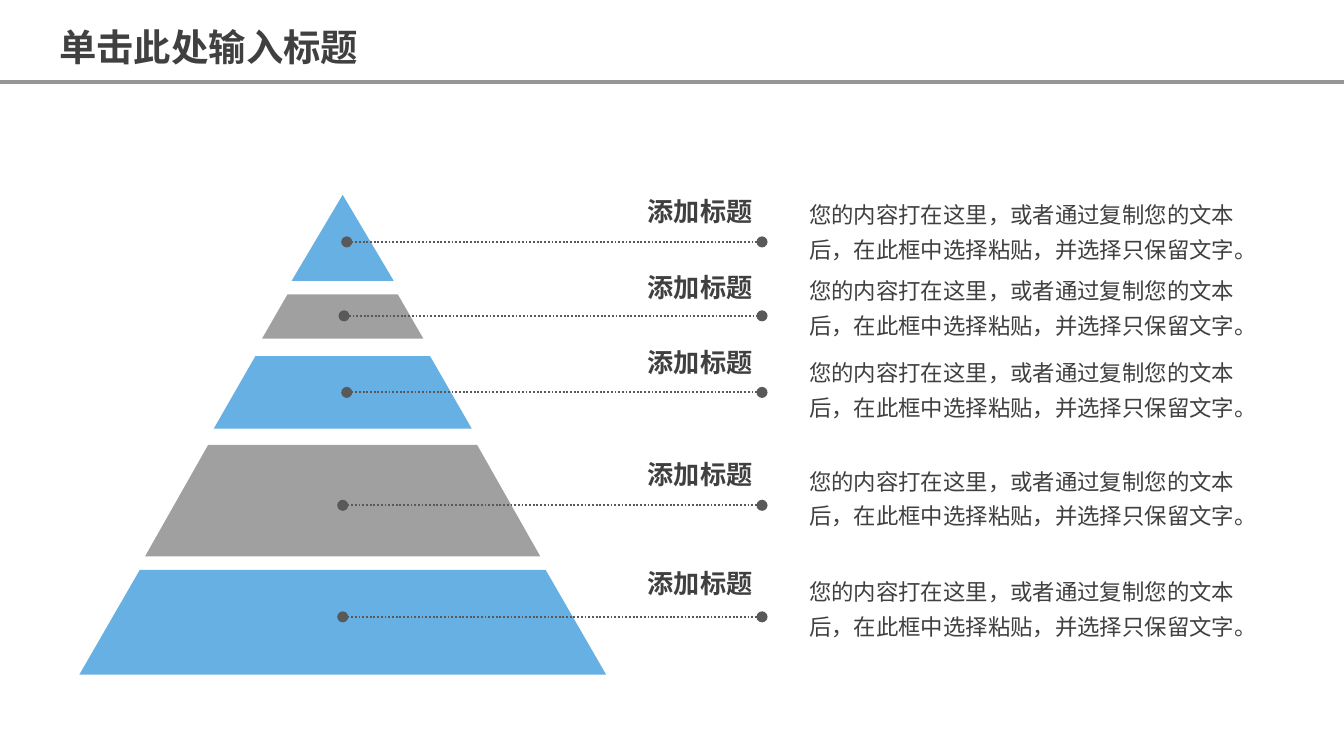
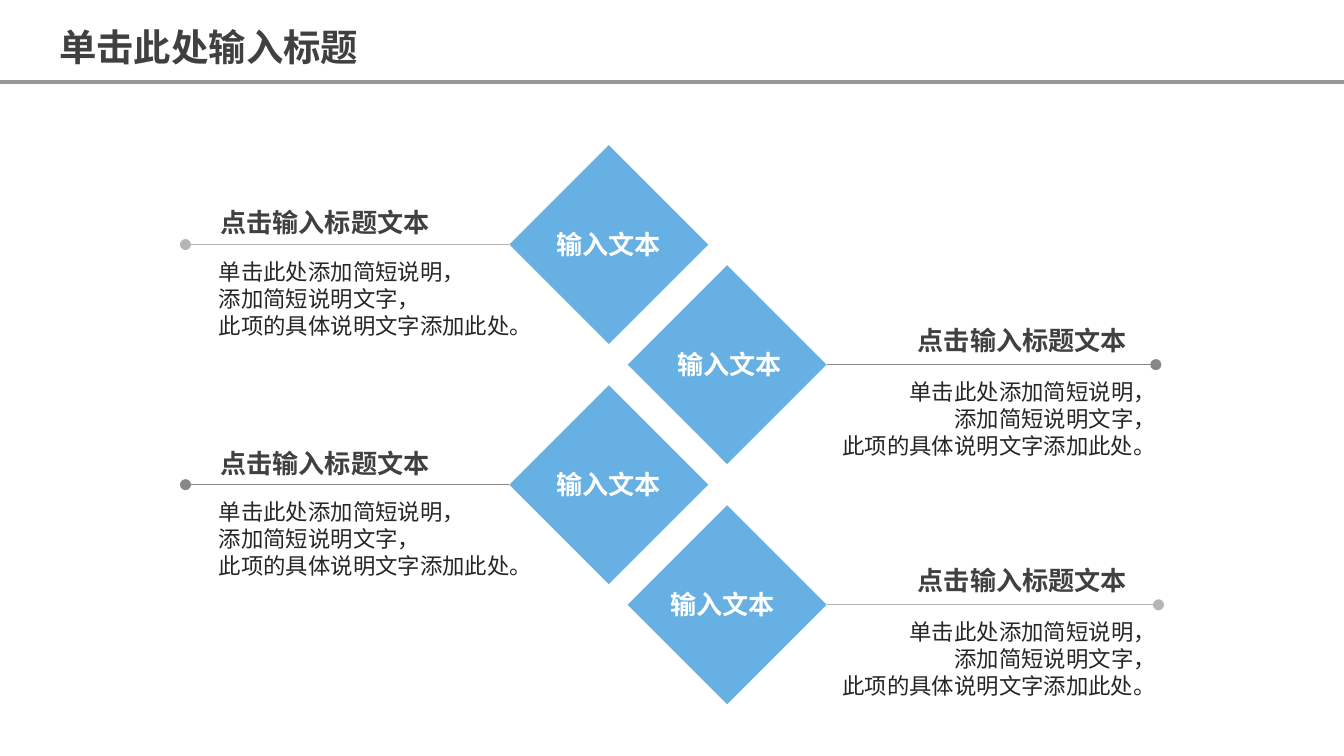
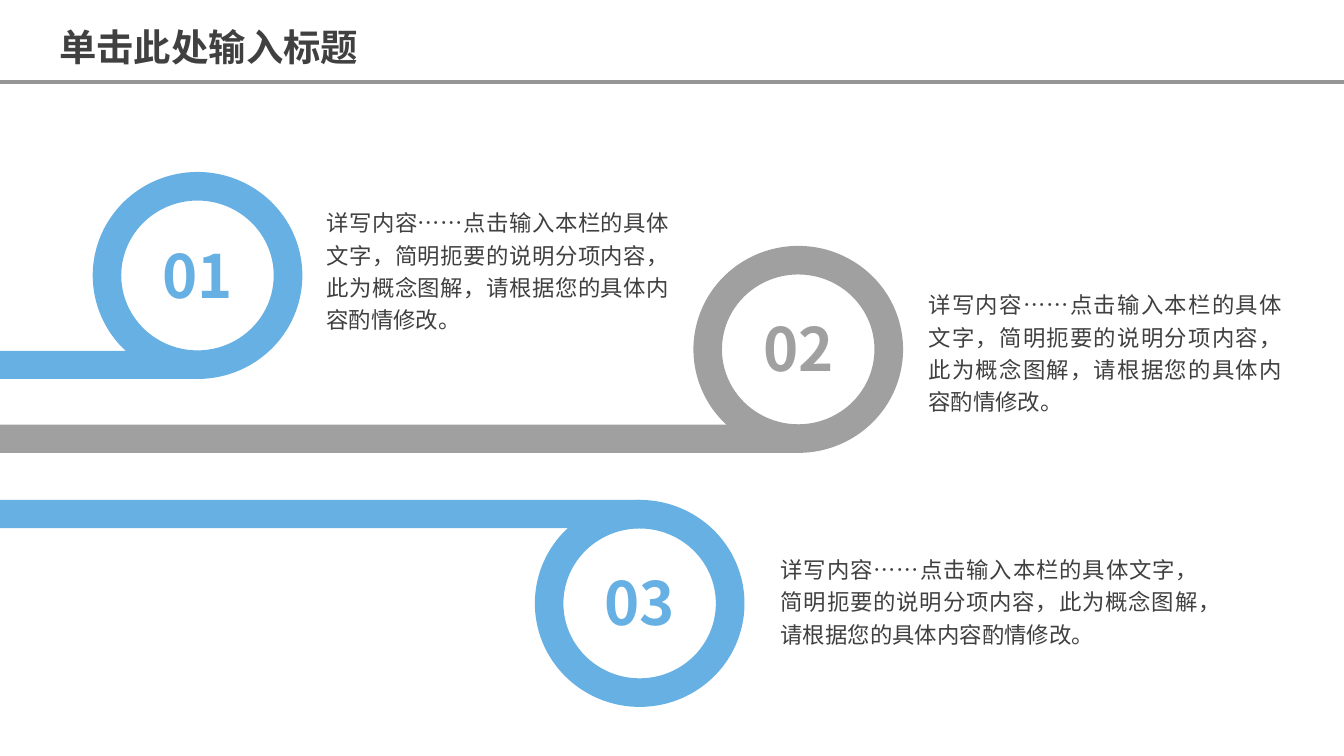
from lxml import etree
from pptx import Presentation
from pptx.dml.color import RGBColor
from pptx.enum.dml import MSO_LINE
from pptx.enum.shapes import MSO_CONNECTOR, MSO_SHAPE
from pptx.enum.text import MSO_ANCHOR, MSO_AUTO_SIZE, PP_ALIGN
from pptx.oxml.ns import qn
from pptx.util import Inches, Pt

TOP, MID = MSO_ANCHOR.TOP, MSO_ANCHOR.MIDDLE
LEFT, RIGHT = PP_ALIGN.LEFT, PP_ALIGN.RIGHT
CENTER, JUST = PP_ALIGN.CENTER, PP_ALIGN.JUSTIFY
GROW, FIXED = MSO_AUTO_SIZE.SHAPE_TO_FIT_TEXT, MSO_AUTO_SIZE.NONE
STRAIGHT, DOTS = MSO_CONNECTOR.STRAIGHT, MSO_LINE.ROUND_DOT
WIDE = 10
HIGH = WIDE * 9 / 16

# Theme: colours and type styles (size, bold, colour)
THEME = {
    "font": "Noto Sans CJK SC",
    "blue": "67B0E3", "gray": "A0A0A0", "rule": "969696", "dots": "595959",
    "pale": "B5B5B5", "dark": "888888",
    "title": (20, True, "404040"), "head": (14, True, "404040"),
    "label": (14, True, "FFFFFF"), "body": (12, False, "404040"),
    "note": (12, False, "262626"),
    "num blue": (32, True, "67B0E3"), "num gray": (32, True, "A0A0A0"),
}

# Content
TITLE = "单击此处输入标题"
STEP_HEAD = "添加标题"
STEP_TEXT = "您的内容打在这里，或者通过复制您的文本后，在此框中选择粘贴，并选择只保留文字。"
# Pyramid: band top, foot, half widths there, colour, dot x, line y, head top, text top
STEPS = [
    (1.45, 2.09, 0, 0.38, "blue", 2.58, 1.8, 1.41, 1.4),
    (2.19, 2.52, 0.41, 0.6, "gray", 2.56, 2.35, 1.98, 1.96),
    (2.65, 3.19, 0.65, 0.96, "blue", 2.58, 2.92, 2.54, 2.57),
    (3.31, 4.14, 1, 1.47, "gray", 2.55, 3.76, 3.37, 3.38),
    (4.24, 5.02, 1.51, 1.96, "blue", 2.55, 4.59, 4.18, 4.2),
]
GEM_LABEL, GEM_HEAD = "输入文本", "点击输入标题文本"
GEM_NOTE = "单击此处添加简短说明，\n添加简短说明文字，\n此项的具体说明文字添加此处。"
# Diamonds: line colour, line end x, label shift, label width, label wraps
GEMS = [
    ("pale", 1.38, 0.25, 0.99, False),
    ("dark", 8.6, 0.27, 0.99, False),
    ("dark", 1.38, 0.25, 0.99, False),
    ("pale", 8.62, 0.22, 1.04, True),
]
# Sides of the diamonds: gem x, site, head x, head rise, note x, alignment
SIDES = [(3.79, 1, 1.54, 0.33, 1.53, LEFT), (4.67, 3, 6.73, 0.35, 6.1, RIGHT)]
RING_TEXT = "详写内容……点击输入本栏的具体文字，简明扼要的说明分项内容，此为概念图解，请根据您的具体内容酌情修改。"
# Rings: number, colour, ring x, ring y, bar on top, text box
RINGS = [
    ("01", "blue", 0.69, 1.28, False, (2.33, 1.47, 2.75, 1.05)),
    ("02", "gray", 5.16, 1.83, False, (6.81, 2.08, 2.83, 1.05)),
    ("03", "blue", 3.98, 3.72, True, (5.71, 4.05, 3.31, 0.81)),
]


# Shared helpers
def rgb(name):
    return RGBColor.from_string(THEME.get(name, name))


def apply(item, **values):
    for key, value in values.items():
        setattr(item, key, value)


def write(shape, text, style, align=LEFT, space=None, **frame):
    """Fill a shape with styled text, one paragraph a line."""
    size, bold, color = THEME[style]
    body = shape.text_frame
    apply(body, **{"word_wrap": True, "auto_size": GROW,
                   "vertical_anchor": TOP, **frame})
    for i, line in enumerate(text.split("\n")):
        para = body.add_paragraph() if i else body.paragraphs[0]
        apply(para, alignment=align, line_spacing=space)
        run = para.add_run()
        run.text = line
        apply(run.font, size=Pt(size), bold=bold, name=THEME["font"])
        run.font.color.rgb = rgb(color)
        east = etree.SubElement(run.font._element, qn("a:ea"))
        east.set("typeface", THEME["font"])


def label(shapes, box, *args, **frame):
    write(shapes.add_textbox(*map(Inches, box)), *args, **frame)


def paint(shape, color):
    shape.shadow.inherit = False
    shape.line.fill.background()
    if color:
        shape.fill.solid()
        shape.fill.fore_color.rgb = rgb(color)
    else:
        shape.fill.background()
    return shape


def block(shapes, kind, box, color=None):
    return paint(shapes.add_shape(kind, *map(Inches, box)), color)


def rule(shapes, start, end, color, width, ends=(), dash=None):
    line = shapes.add_connector(STRAIGHT, *map(Inches, start + end))
    line.line.color.rgb = rgb(color)
    apply(line.line, width=Pt(width), dash_style=dash)
    for tag in ends:
        etree.SubElement(line.line._ln, qn("a:" + tag)).set("type", "oval")
    etree.SubElement(line._element.spPr, qn("a:effectLst"))
    return line


def page(deck):
    slide = deck.slides.add_slide(deck.slide_layouts[5])
    title = slide.shapes.title
    box = map(Inches, (0.34, 0.06, 2.61, 0.5))
    apply(title, **dict(zip(("left", "top", "width", "height"), box)))
    write(title, TITLE, "title", space=1.2)
    return slide.shapes


# Slide 1: pyramid
def pyramid(shapes):
    mid = 2.55
    inset = dict(zip(("margin_left", "margin_top", "margin_right", "margin_bottom"),
                     map(Inches, (0.08, 0.04, 0.08, 0.04))))
    for top, foot, near, far, color, *_ in STEPS:
        if not near:
            block(shapes, MSO_SHAPE.ISOSCELES_TRIANGLE,
                  (mid - far, top, 2 * far, foot - top), color)
            continue
        dots = [(mid - near, top), (mid + near, top), (mid + far, foot), (mid - far, foot)]
        dots = [(Inches(x), Inches(y)) for x, y in dots]
        path = shapes.build_freeform(*dots[0])
        path.add_line_segments(dots[1:], close=True)
        paint(path.convert_to_shape(), color)
    for *_, dot, y, head, text in STEPS:
        rule(shapes, (dot, y), (5.67, y), "dots", 1, ("headEnd", "tailEnd"), DOTS)
        label(shapes, (5.94, text, 3.47, 0.6), STEP_TEXT, "body", space=1.3, **inset)
        label(shapes, (4.73, head, 0.96, 0.32), STEP_HEAD, "head", CENTER,
              word_wrap=False, **inset)


# Slide 2: diamonds
def diamonds(shapes):
    size, first, last = 1.48, 1.08, 3.76
    step = (last - first) / (len(GEMS) - 1)
    for i, (color, end, shift, width, wrap) in enumerate(GEMS):
        x, site, head, rise, note, align = SIDES[i % 2]
        top = first + i * step
        mid = top + size / 2
        group = shapes.add_group_shape().shapes
        gem = block(group, MSO_SHAPE.DIAMOND, (x, top, size, size), "blue")
        label(group, (x + shift, top + 0.57, width, 0.34), GEM_LABEL, "label",
              word_wrap=wrap)
        line = rule(shapes, (x, mid), (end, mid), color, 0.75, ("tailEnd",))
        line.begin_connect(gem, site)
        label(shapes, (head, mid - rise, 1.77, 0.34), GEM_HEAD, "head", word_wrap=False)
        label(shapes, (note, mid + 0.05, 2.6, 0.71), GEM_NOTE, "note", align)


# Slide 3: rings on bars
def rings(shapes):
    wide, high, band = 1.56, 1.54, 0.21
    for num, color, x, y, above, box in RINGS:
        disc = block(shapes, MSO_SHAPE.OVAL,
                     (x + band, y + 0.2, wide - 2 * band, high - 2 * band))
        write(disc, num, "num " + color, CENTER, auto_size=FIXED, vertical_anchor=MID)
        bar = y if above else y + high - band
        block(shapes, MSO_SHAPE.RECTANGLE, (0, bar, x + wide / 2, band), color)
        ring = block(shapes, MSO_SHAPE.DONUT, (x, y, wide, high), color)
        ring.adjustments[0] = 0.138
        label(shapes, box, RING_TEXT, "body", JUST, 1.2)


def main():
    deck = Presentation()
    apply(deck, slide_width=Inches(WIDE), slide_height=Inches(HIGH))
    for i, draw in enumerate((pyramid, diamonds, rings)):
        shapes = page(deck)
        if i == 0:  # the title rule belongs to the shared layout
            line = rule(shapes, (0, 0.61), (WIDE, 0.61), "rule", 1.75)
            deck.slide_layouts[5].shapes._spTree.append(line._element)
        draw(shapes)
    deck.save("out.pptx")


if __name__ == "__main__":
    main()
